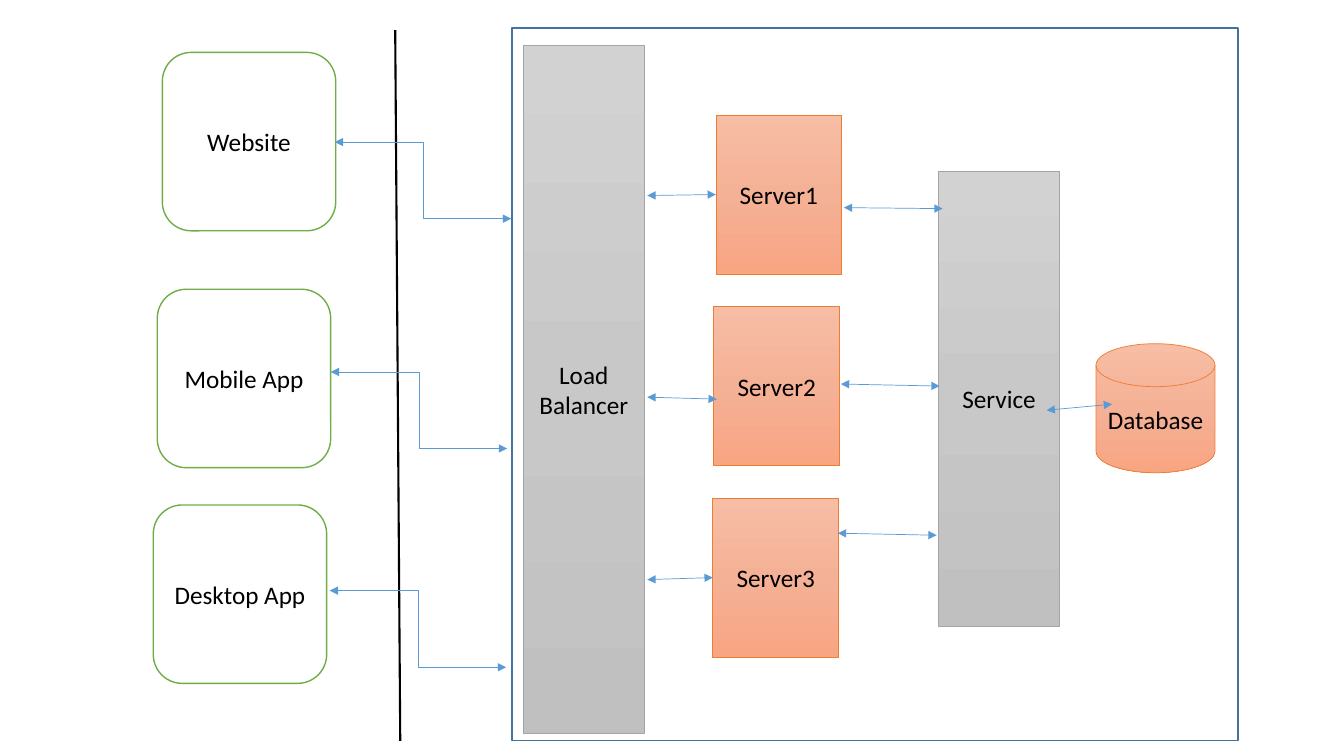
"""Draw a load-balanced client and server architecture slide."""
from copy import deepcopy
from lxml import etree
from pptx import Presentation
from pptx import util as u
from pptx.dml.color import RGBColor
from pptx.enum import shapes, text
from pptx.oxml.ns import qn

PX = 9144
KIND = shapes.MSO_SHAPE
LINK = shapes.MSO_CONNECTOR
ORANGE = ("F7BDA5", "F5B196", "F8A582")
GRAY = ("D2D2D2", "C8C8C8", "C0C0C0")
FONT = {"name": "Calibri", "size": u.Pt(18)}
FRAME = {
    "word_wrap": True,
    "vertical_anchor": text.MSO_ANCHOR.MIDDLE,
}


def rgb(code):
    return RGBColor.from_string(code)


def link(kind, ends, color, width, heads=True):
    line = slide.shapes.add_connector(kind, *[n * PX for n in ends])
    line.line.color.rgb = rgb(color)
    line.line.width = u.Pt(width)
    props = line._element.spPr
    etree.SubElement(props, qn("a:effectLst"))
    if heads:
        for tag in ("a:headEnd", "a:tailEnd"):
            etree.SubElement(props.find(qn("a:ln")), qn(tag), type="triangle")
    return line


deck = Presentation()
deck.slide_width, deck.slide_height = 1333 * PX, 750 * PX
slide = deck.slides.add_slide(deck.slide_layouts[6])

boxes = [
    ("", KIND.RECTANGLE, (508, 28, 720, 707), ["FFFFFF"], "43739E", 1),
    ("Database", KIND.FLOWCHART_MAGNETIC_DISK, (1087, 341, 118, 128), ORANGE, "ED7D31", 0.5),
    ("Service", KIND.RECTANGLE, (931, 170, 120, 451), GRAY, "A5A5A5", 0.5),
    ("Load Balancer", KIND.RECTANGLE, (519, 45, 120, 683), GRAY, "A5A5A5", 0.5),
]
for row, left in enumerate((710, 708, 707)):
    spot = (left, 114 + 190 * row, 125, 158)
    boxes.append((f"Server{row + 1}", KIND.RECTANGLE, spot, ORANGE, "ED7D31", 0.5))
for name, left, top in (("Website", 161, 52), ("Mobile App", 156, 287), ("Desktop App", 152, 501)):
    boxes.append((name, KIND.ROUNDED_RECTANGLE, (left, top, 172, 177), ["FFFFFF"], "70AD47", 1))

made = {}
for name, kind, spot, fill, edge, width in boxes:
    box = slide.shapes.add_shape(kind, *[n * PX for n in spot])
    made[name] = box
    box.shadow.inherit = False
    box.line.color.rgb = rgb(edge)
    box.line.width = u.Pt(width)
    if len(fill) == 1:
        box.fill.solid()
        box.fill.fore_color.rgb = rgb(fill[0])
    else:
        box.fill.gradient()
        box.fill.gradient_angle = 270
        stops = box._element.spPr.find(qn("a:gradFill")).find(qn("a:gsLst"))
        stops.insert(1, deepcopy(stops[0]))
        for step, (stop, code) in enumerate(zip(box.fill.gradient_stops, fill)):
            stop.position = step / 2
            stop.color.rgb = rgb(code)
    if name:
        frame = box.text_frame
        for key, value in FRAME.items():
            setattr(frame, key, value)
        para = frame.paragraphs[0]
        para.alignment = text.PP_ALIGN.CENTER
        run = para.add_run()
        run.text = name
        run.font.color.rgb = rgb("000000")
        for key, value in FONT.items():
            setattr(run.font, key, value)

link(LINK.STRAIGHT, (392, 30, 397, 735), "000000", 1.5, heads=False)

for left, top in ((332, 141), (328, 369), (327, 586)):
    link(LINK.ELBOW, (left, top, left + 175, top + 76), "5B9BD5", 0.5)

arrows = [
    (642, 194, 710, 193, "Server1"),
    (642, 394, 711, 396, None),
    (642, 575, 707, 573, "Server3"),
    (837, 206, 935, 207, None),
    (834, 381, 932, 383, None),
    (831, 529, 929, 531, None),
    (1038, 407, 1103, 401, None),
]
for *ends, goal in arrows:
    arrow = link(LINK.STRAIGHT, ends, "5B9BD5", 0.5)
    if goal:
        arrow.end_connect(made[goal], 1)

deck.save("out.pptx")
